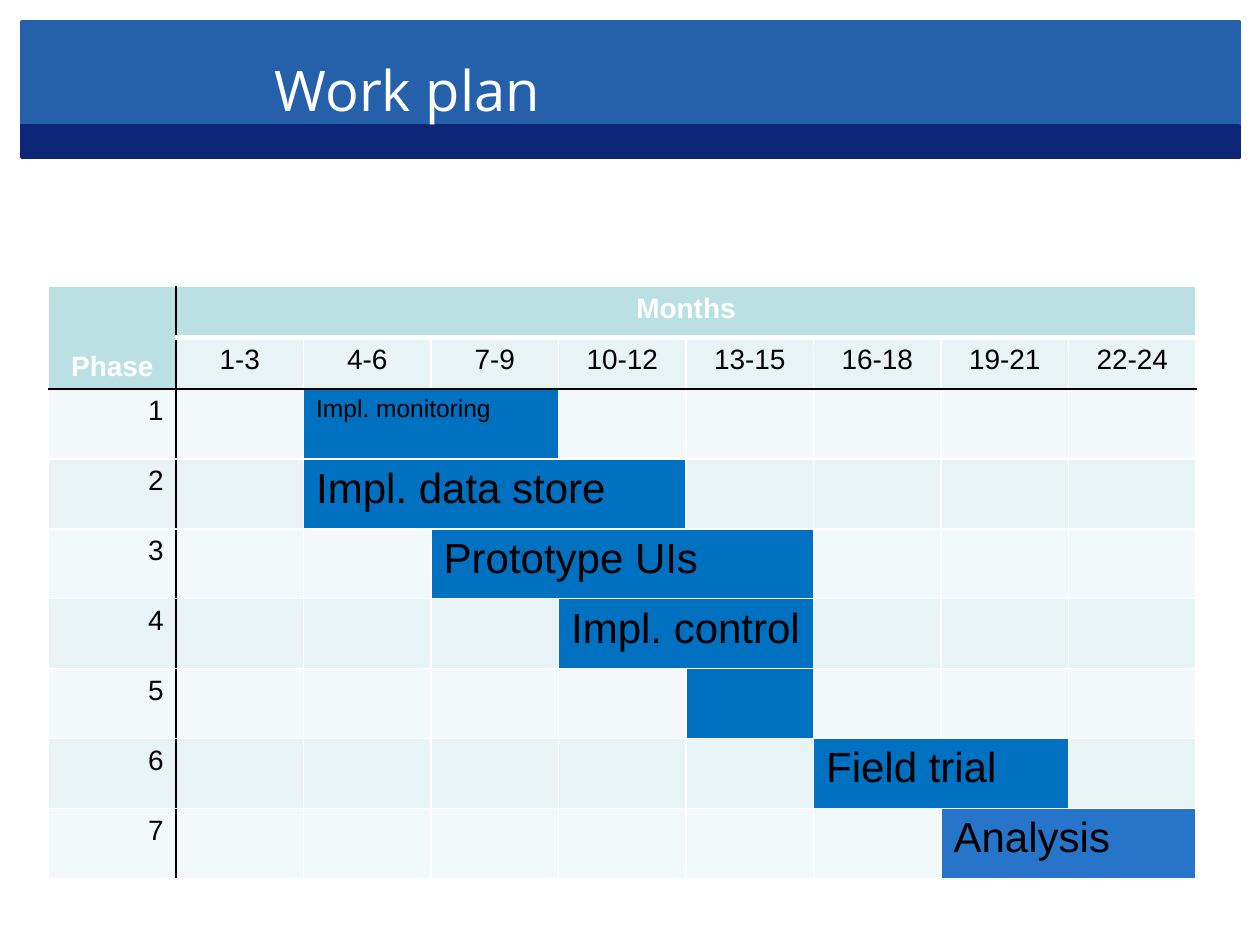
from dataclasses import dataclass

from lxml.etree import SubElement
from pptx import Presentation
from pptx.dml.color import RGBColor
from pptx.enum.shapes import MSO_SHAPE
from pptx.enum.text import MSO_ANCHOR, PP_ALIGN
from pptx.oxml.ns import qn
from pptx.util import Cm, Pt


@dataclass(frozen=True)
class Theme:
    """Colours, fonts and type sizes of the slide."""
    white: str = "FFFFFF"
    black: str = "000000"
    band: str = "2461AA"
    band_dark: str = "0C2577"
    head: str = "BBE0E3"
    row_odd: str = "F3F9FA"
    row_even: str = "E7F3F4"
    bar: str = "0070C0"
    bar_last: str = "2675CA"
    title_font: str = "Open Sans"
    table_font: str = "Arial"
    title: int = 32
    task: int = 24
    task_small: int = 14
    label: int = 16


THEME = Theme()


@dataclass(frozen=True)
class Band:
    """A coloured strip behind the title."""
    top: float
    height: float
    color: str


@dataclass(frozen=True)
class Task:
    """One bar of the plan: its first quarter and its length in quarters."""
    name: str
    start: int
    length: int
    size: int = THEME.task
    color: str = THEME.bar


BANDS = [Band(0.43, 2.13, THEME.band), Band(2.54, 0.64, THEME.band_dark)]
QUARTERS = [f"{month}-{month + 2}" for month in range(1, 25, 3)]
TASKS = [
    Task("Impl. monitoring", 2, 2, THEME.task_small),
    Task("Impl. data store", 2, 3),
    Task("Prototype UIs", 3, 3),
    Task("Impl. control", 4, 2),
    Task("", 5, 1),
    Task("Field trial", 6, 2),
    Task("Analysis", 7, 2, color=THEME.bar_last),
]
HEADER_ROWS = 2
COLUMN_WIDTH, HEADER_HEIGHT, TASK_HEIGHT = 2.57, 1.03, 1.41


def set_format(target, values: dict) -> None:
    """Set every attribute named in values on target."""
    for name, value in values.items():
        setattr(target, name, value)


def write(frame, text: str, size: int, color: str, align=PP_ALIGN.LEFT,
          font: str = THEME.table_font, bold: bool = False) -> None:
    """Write one formatted paragraph into a text frame."""
    para = frame.paragraphs[0]
    para.alignment = align
    span = para.add_run()
    span.text = text
    set_format(span.font, {"size": Pt(size), "name": font, "bold": bold})
    span.font.color.rgb = RGBColor.from_string(color)


def add_band(page, band: Band) -> None:
    """Draw one strip across the top of the page."""
    box = page.shapes.add_shape(MSO_SHAPE.RECTANGLE, Cm(0.43), Cm(band.top),
                                Cm(24.55), Cm(band.height))
    box.shadow.inherit = False
    box.fill.solid()
    box.line.width = Pt(2)
    for color in (box.fill.fore_color, box.line.color):
        color.rgb = RGBColor.from_string(band.color)


def place_title(page) -> None:
    """Move the title placeholder onto the strips and format it."""
    title = page.shapes.title
    set_format(title, {"left": Cm(5.28), "top": Cm(0.43),
                       "width": Cm(19.69), "height": Cm(2.74)})
    title.text_frame.vertical_anchor = MSO_ANCHOR.MIDDLE
    write(title.text_frame, "Work plan", THEME.title, THEME.white,
          font=THEME.title_font)
    page.shapes._spTree.append(title._element)


def add_border(cell, side: str, color: str, width: int = 1) -> None:
    """Add a solid border to one side (L, R, T or B) of a cell."""
    line = SubElement(cell._tc.get_or_add_tcPr(), qn(f"a:ln{side}"),
                      w=str(Pt(width)))
    SubElement(SubElement(line, qn("a:solidFill")), qn("a:srgbClr"), val=color)


def style_cell(cell, row: int, column: int, fill: str) -> None:
    """Give a cell its borders and fill; black rules set off the labels."""
    last_header = HEADER_ROWS - 1
    black_sides = {
        "L": column == 1,
        "R": column == 0,
        "T": row == HEADER_ROWS,
        "B": row == last_header or (row == 0 and column == 0),
    }
    for side, is_black in black_sides.items():
        thick = (side == "B" and row == 0 or side == "T" and row == 1) and column > 0
        add_border(cell, side, THEME.black if is_black else THEME.white,
                   3 if thick else 1)
    cell.fill.solid()
    cell.fill.fore_color.rgb = RGBColor.from_string(fill)


def row_fill(row: int) -> str:
    """Return the background of a table row."""
    if row == 0:
        return THEME.head
    return THEME.row_even if row % 2 else THEME.row_odd


def add_plan(page) -> None:
    """Build the work plan table."""
    rows, columns = HEADER_ROWS + len(TASKS), 1 + len(QUARTERS)
    height = HEADER_ROWS * HEADER_HEIGHT + len(TASKS) * TASK_HEIGHT
    table = page.shapes.add_table(rows, columns, Cm(0.98), Cm(5.78),
                                  Cm(columns * COLUMN_WIDTH), Cm(height)).table
    set_format(table, {"first_row": False, "horz_banding": False})
    for column in table.columns:
        column.width = Cm(COLUMN_WIDTH)
    for index, row in enumerate(table.rows):
        row.height = Cm(HEADER_HEIGHT if index < HEADER_ROWS else TASK_HEIGHT)

    fills = {(0, 0): THEME.head}
    table.cell(0, 0).merge(table.cell(1, 0))
    table.cell(0, 1).merge(table.cell(0, columns - 1))
    table.cell(0, 0).vertical_anchor = MSO_ANCHOR.BOTTOM
    for column, text in enumerate(("Phase", "Months")):
        write(table.cell(0, column).text_frame, text, THEME.label,
              THEME.white, PP_ALIGN.CENTER, bold=True)
    for column, text in enumerate(QUARTERS, 1):
        write(table.cell(1, column).text_frame, text, THEME.label,
              THEME.black, PP_ALIGN.CENTER)
    for phase, task in enumerate(TASKS, 1):
        row = phase + HEADER_ROWS - 1
        write(table.cell(row, 0).text_frame, str(phase), THEME.label,
              THEME.black, PP_ALIGN.RIGHT)
        bar = table.cell(row, task.start)
        if task.length > 1:
            bar.merge(table.cell(row, task.start + task.length - 1))
        if task.name:
            write(bar.text_frame, task.name, task.size, THEME.black)
        fills[row, task.start] = task.color

    for row in range(rows):
        for column in range(columns):
            cell = table.cell(row, column)
            if not cell.is_spanned:
                style_cell(cell, row, column,
                           fills.get((row, column), row_fill(row)))


def main() -> None:
    """Build and save the deck."""
    deck = Presentation()
    set_format(deck, {"slide_width": Cm(25.4), "slide_height": Cm(19.05)})
    page = deck.slides.add_slide(deck.slide_layouts[5])
    for band in BANDS:
        add_band(page, band)
    add_plan(page)
    place_title(page)
    deck.save("out.pptx")


main()
